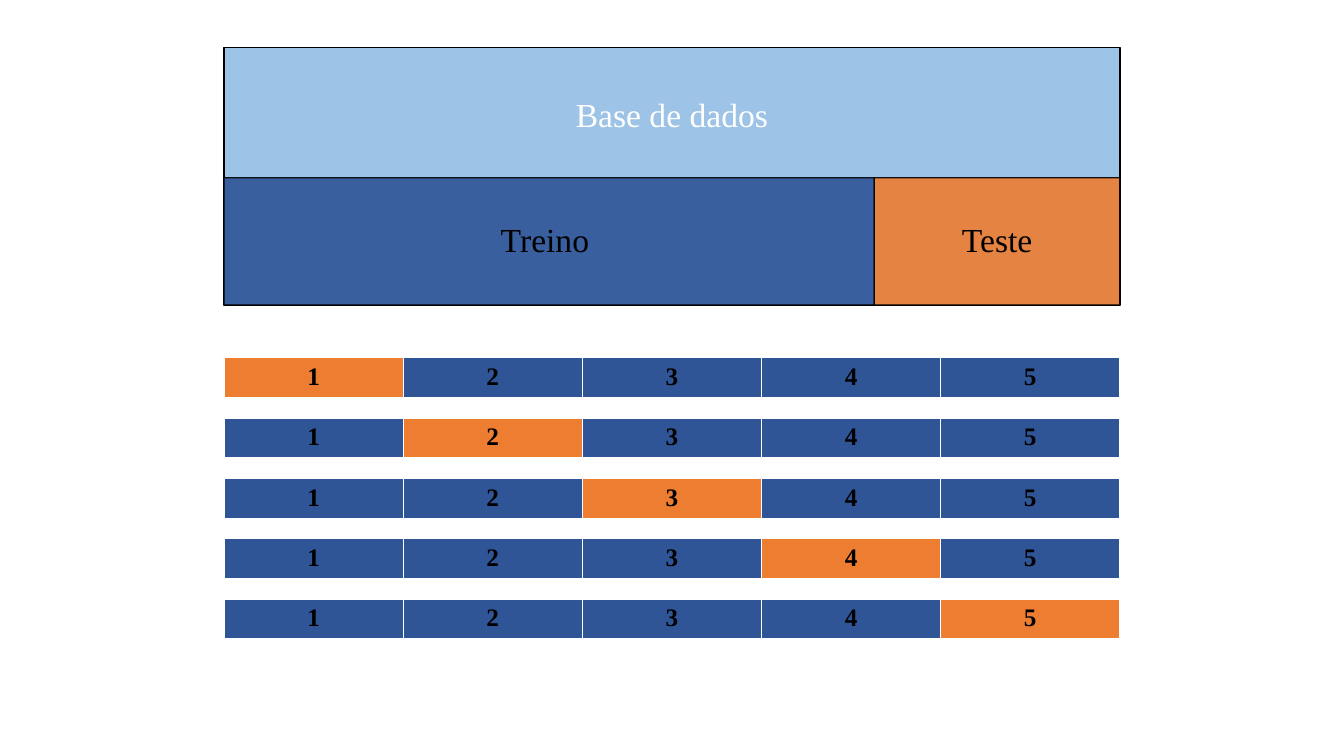
from dataclasses import dataclass

from lxml import etree
from pptx import Presentation
from pptx.dml.color import RGBColor
from pptx.enum import shapes, text
from pptx.oxml import ns
from pptx.util import Pt


@dataclass(frozen=True)
class Theme:
    font: str = "Times New Roman"
    block_size: int = 24
    fold_size: int = 18
    dataset: str = "9DC3E6"
    train: str = "2F5597"
    test: str = "ED7D31"
    black: str = "000000"
    white: str = "FFFFFF"


THEME = Theme()
FOLDS = 5
LEFT, WIDTH = 160, 640
DATASET_TOP, DATASET_HEIGHT = 34, 184
SPLIT_TOP, SPLIT_HEIGHT = 127, 91
TRAIN_WIDTH = 464.5
FOLD_TOP, FOLD_STEP, FOLD_HEIGHT = 255.6, 43.1, 29.2


def rgb(color):
    return RGBColor.from_string(color)


def add_text(paragraph, words, size, color, bold=False):
    paragraph.alignment = text.PP_ALIGN.CENTER
    run = paragraph.add_run()
    run.text = words
    run.font.name = THEME.font
    run.font.size = Pt(size)
    run.font.bold = bold
    run.font.color.rgb = rgb(color)


def set_opacity(block, percent):
    """Apply one opacity to the fill and outline."""
    for color in block.element.spPr.iter(ns.qn("a:srgbClr")):
        etree.SubElement(color, ns.qn("a:alpha"), val=str(percent * 1000))


def add_block(slide, words, box, fill, color, insets=(2, 2), opacity=100):
    block = slide.shapes.add_shape(
        shapes.MSO_SHAPE.RECTANGLE, *(Pt(length) for length in box))
    block.shadow.inherit = False
    block.fill.solid()
    block.fill.fore_color.rgb = rgb(fill)
    block.line.color.rgb = rgb(THEME.black)
    block.line.width = Pt(1)
    if opacity < 100:
        set_opacity(block, opacity)
    frame = block.text_frame
    frame.word_wrap = True
    frame.vertical_anchor = text.MSO_ANCHOR.MIDDLE
    frame.margin_left = frame.margin_right = Pt(13.5)
    frame.margin_top, frame.margin_bottom = (Pt(inset) for inset in insets)
    frame.paragraphs[0].line_spacing = 0.9
    add_text(frame.paragraphs[0], words, THEME.block_size, color)


def set_borders(cell):
    """White rules around a cell, heavier at the bottom."""
    properties = cell._tc.get_or_add_tcPr()
    for position, (side, width) in enumerate(
            [("lnL", 1), ("lnR", 1), ("lnT", 1), ("lnB", 3)]):
        border = etree.Element(ns.qn(f"a:{side}"), w=str(Pt(width)))
        fill = etree.SubElement(border, ns.qn("a:solidFill"))
        etree.SubElement(fill, ns.qn("a:srgbClr"), val=THEME.white)
        properties.insert(position, border)


def add_fold_row(slide, top, test_fold):
    folds = slide.shapes.add_table(
        1, FOLDS, Pt(LEFT), Pt(top), Pt(WIDTH), Pt(FOLD_HEIGHT)).table
    folds.first_row = folds.horz_banding = False
    for fold, cell in enumerate(folds.iter_cells()):
        cell.fill.solid()
        cell.fill.fore_color.rgb = rgb(
            THEME.test if fold == test_fold else THEME.train)
        set_borders(cell)
        add_text(cell.text_frame.paragraphs[0], str(fold + 1),
                 THEME.fold_size, THEME.black, bold=True)


def main():
    deck = Presentation()
    deck.slide_width, deck.slide_height = Pt(960), Pt(540)
    slide = deck.slides.add_slide(deck.slide_layouts[6])

    # Whole data set, with its label above the split
    add_block(slide, "Base de dados",
              (LEFT, DATASET_TOP, WIDTH, DATASET_HEIGHT),
              THEME.dataset, THEME.white, insets=(13.5, 98.5))

    # Training and test split
    add_block(slide, "Treino ", (LEFT, SPLIT_TOP, TRAIN_WIDTH, SPLIT_HEIGHT),
              THEME.train, THEME.black, opacity=90)
    add_block(slide, "Teste",
              (LEFT + TRAIN_WIDTH, SPLIT_TOP, WIDTH - TRAIN_WIDTH, SPLIT_HEIGHT),
              THEME.test, THEME.black, opacity=90)

    # Cross-validation: each row tests on the next fold
    for test_fold in range(FOLDS):
        add_fold_row(slide, FOLD_TOP + test_fold * FOLD_STEP, test_fold)

    deck.save("out.pptx")


if __name__ == "__main__":
    main()
